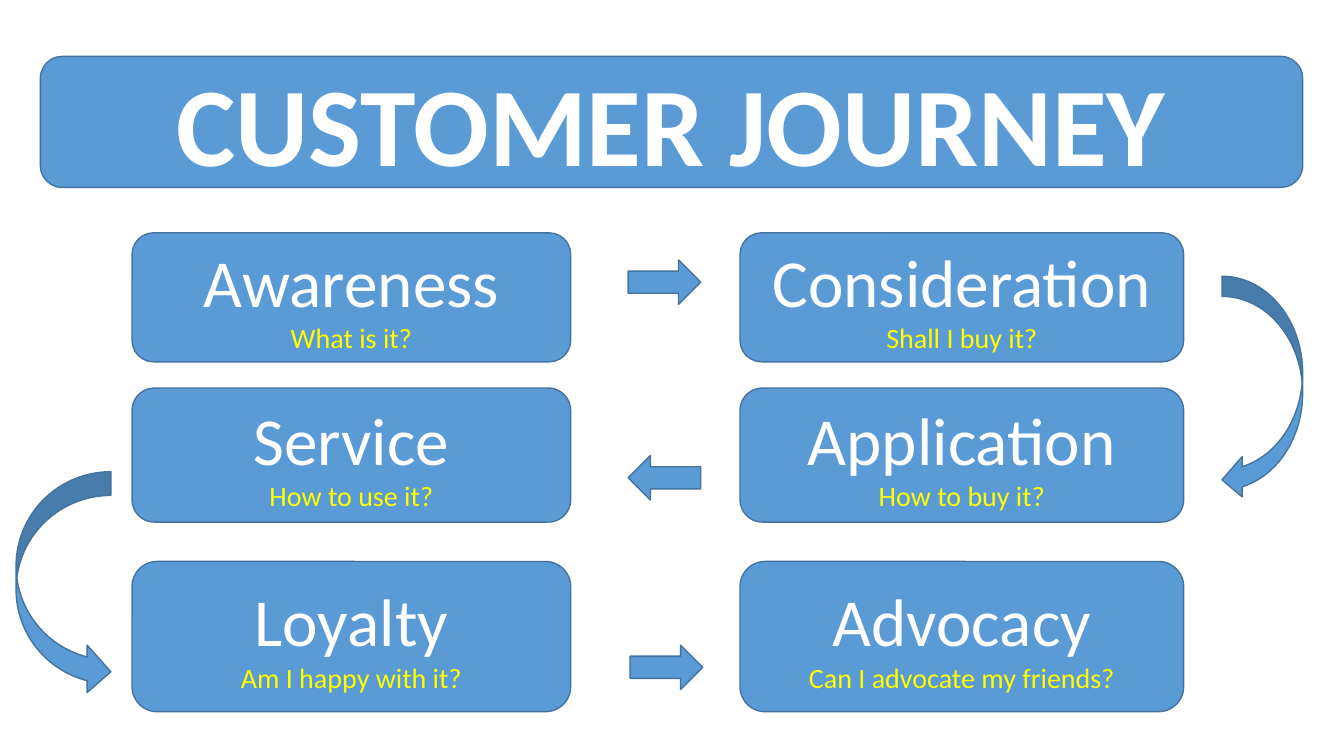
from typing import NamedTuple

from pptx import Presentation
from pptx.dml.color import RGBColor
from pptx.enum.shapes import MSO_SHAPE as SHAPE
from pptx.enum.text import MSO_ANCHOR as ANCHOR, PP_ALIGN as ALIGN
from pptx.util import Emu, Pt

PX = 9144  # EMU per px, 100 px to the inch
BLUE, EDGE, WHITE, YELLOW = "5B9BD5", "43739E", "FFFFFF", "FFFF00"


class Line(NamedTuple):
    text: str
    size: int
    color: str = WHITE
    bold: bool = False


class Stage(NamedTuple):
    name: str
    question: str
    col: int
    row: int


class Arrow(NamedTuple):
    kind: SHAPE
    left: int
    top: int
    width: int
    height: int
    rotation: int = 0


COLUMNS = [(131, 435), (734, 440)]           # left, width
ROWS = [(231, 128), (385, 133), (557, 149)]  # top, height

STAGES = [
    Stage("Awareness", "What is it?", 0, 0),
    Stage("Consideration", "Shall I buy it?", 1, 0),
    Stage("Application", "How to buy it?", 1, 1),
    Stage("Service", "How to use it?", 0, 1),
    Stage("Loyalty", "Am I happy with it?", 0, 2),
    Stage("Advocacy", "Can I advocate my friends?", 1, 2),
]

ARROWS = [
    Arrow(SHAPE.RIGHT_ARROW, 623, 258, 72, 44),
    Arrow(SHAPE.CURVED_LEFT_ARROW, 1212, 274, 80, 222),
    Arrow(SHAPE.RIGHT_ARROW, 623, 452, 72, 44, 180),
    Arrow(SHAPE.CURVED_RIGHT_ARROW, 16, 468, 94, 222),
    Arrow(SHAPE.RIGHT_ARROW, 625, 640, 72, 44),
]


def rgb(value: str) -> RGBColor:
    return RGBColor.from_string(value)


def add_blue_shape(slide, kind: SHAPE, left: int, top: int, width: int, height: int):
    sp = slide.shapes.add_shape(kind, *(Emu(v * PX) for v in (left, top, width, height)))
    sp.shadow.inherit = False
    sp.fill.solid()
    sp.fill.fore_color.rgb = rgb(BLUE)
    sp.line.color.rgb = rgb(EDGE)
    sp.line.width = Pt(1)
    return sp


def add_box(slide, left: int, top: int, width: int, height: int, lines: list[Line]) -> None:
    sp = add_blue_shape(slide, SHAPE.ROUNDED_RECTANGLE, left, top, width, height)
    tf = sp.text_frame
    tf.word_wrap = True
    tf.vertical_anchor = ANCHOR.MIDDLE
    for i, line in enumerate(lines):
        p = tf.add_paragraph() if i else tf.paragraphs[0]
        p.alignment = ALIGN.CENTER
        r = p.add_run()
        r.text = line.text
        font = {"name": "Calibri", "size": Pt(line.size), "bold": line.bold}
        for key, value in font.items():
            setattr(r.font, key, value)
        r.font.color.rgb = rgb(line.color)


def add_arrow(slide, arrow: Arrow) -> None:
    sp = add_blue_shape(slide, *arrow[:5])
    sp.rotation = arrow.rotation


def main() -> None:
    prs = Presentation()
    prs.slide_width, prs.slide_height = Emu(1333 * PX), Emu(750 * PX)
    slide = prs.slides.add_slide(prs.slide_layouts[6])

    # Title banner
    add_box(slide, 40, 56, 1252, 130, [Line("CUSTOMER JOURNEY", 80, bold=True)])

    # Journey stages
    for stage in STAGES:
        left, width = COLUMNS[stage.col]
        top, height = ROWS[stage.row]
        lines = [Line(stage.name, 48), Line(stage.question, 20, YELLOW)]
        add_box(slide, left, top, width, height, lines)

    # Arrows between stages
    for arrow in ARROWS:
        add_arrow(slide, arrow)

    prs.save("out.pptx")


if __name__ == "__main__":
    main()
